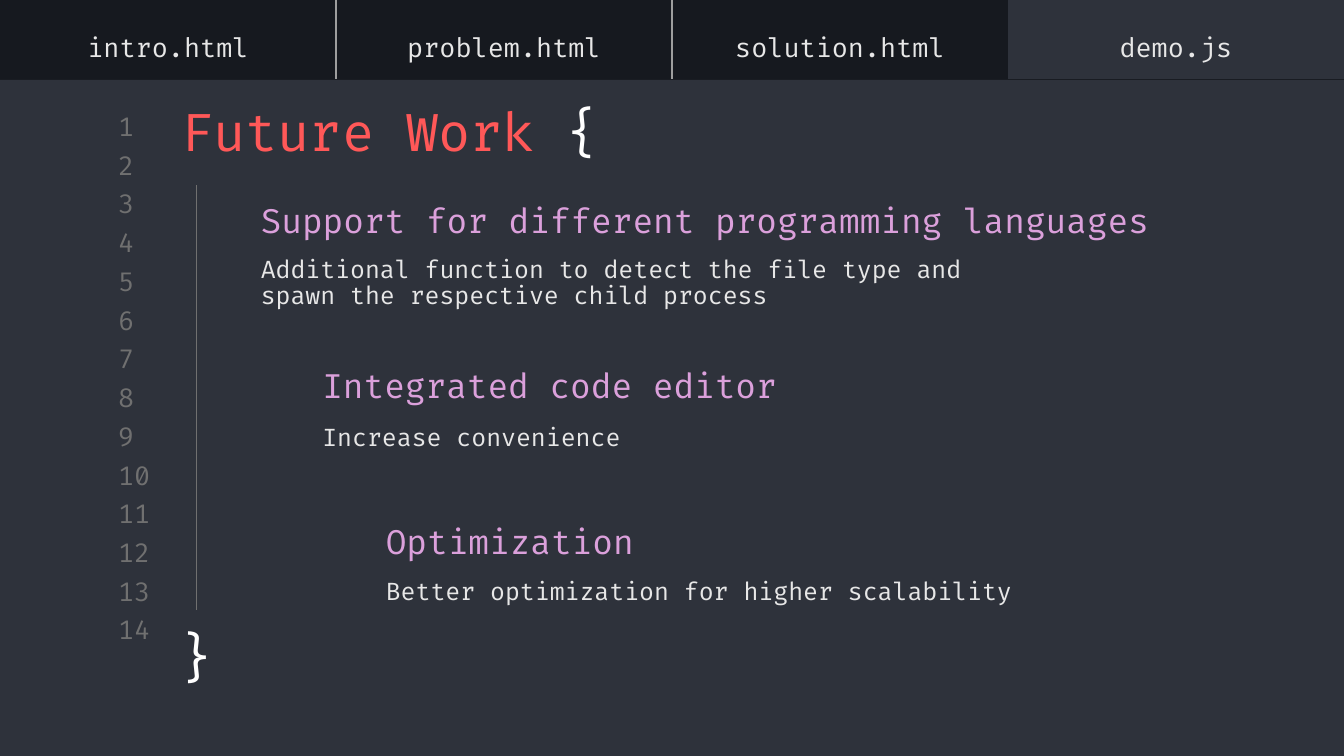
from lxml import etree
from pptx import Presentation
from pptx.dml.color import RGBColor
from pptx.enum import shapes, text
from pptx.oxml import ns
from pptx.util import Pt

DARK = RGBColor(0x16, 0x19, 0x1F)
PANEL = RGBColor(0x2E, 0x32, 0x3B)
GREY = RGBColor(0x70, 0x70, 0x70)
RULE = RGBColor(0x9E, 0x9E, 0x9E)
LIGHT = RGBColor(0xE7, 0xE7, 0xE7)
WHITE = RGBColor(0xFF, 0xFF, 0xFF)
RED = RGBColor(0xFF, 0x58, 0x58)
PINK = RGBColor(0xDB, 0xA0, 0xDB)

FONT = "Fira Code"
WIDTH, HEIGHT = 720, 405
TAB_H = 42.5
INSET = 7.2
TOP, MIDDLE = text.MSO_ANCHOR.TOP, text.MSO_ANCHOR.MIDDLE
LEFT, CENTER = text.PP_ALIGN.LEFT, text.PP_ALIGN.CENTER

TABS = ["intro.html", "problem.html", "solution.html", "demo.js"]

# Left, heading box (top, width), detail box (top, width), heading, detail lines
ITEMS = [
    (132.5, (106, 499), (131, 477),
     "Support for different programming languages",
     ["Additional function to detect the file type and",
      "spawn the respective child process"]),
    (165.5, (194.5, 331), (214, 401),
     "Integrated code editor", ["Increase convenience"]),
    (199.5, (278, 217.5), (296.5, 401),
     "Optimization", ["Better optimization for higher scalability"]),
]


def place(shape, left, top, width, height):
    shape.left, shape.top = Pt(left), Pt(top)
    shape.width, shape.height = Pt(width), Pt(height)


def add_run(para, words, size, color):
    run = para.add_run()
    run.text = words
    run.font.name = FONT
    run.font.size = Pt(size)
    run.font.color.rgb = color


def set_frame(shape, anchor, align=LEFT):
    """Set insets, wrap and anchor; return the first paragraph."""
    frame = shape.text_frame
    frame.word_wrap = True
    frame.auto_size = text.MSO_AUTO_SIZE.NONE
    frame.vertical_anchor = anchor
    frame.margin_left = frame.margin_right = Pt(INSET)
    frame.margin_top = frame.margin_bottom = Pt(INSET)
    para = frame.paragraphs[0]
    para.alignment = align
    para.space_before = Pt(0)
    return para


def add_panel(slide, top, height):
    panel = slide.shapes.add_shape(
        shapes.MSO_SHAPE.RECTANGLE, 0, Pt(top), Pt(WIDTH), Pt(height))
    panel.shadow.inherit = False
    panel.fill.solid()
    panel.fill.fore_color.rgb = PANEL
    panel.line.fill.background()


def add_label(slide, box, words, size, color, anchor, align=LEFT):
    label = slide.shapes.add_textbox(*map(Pt, box))
    add_run(set_frame(label, anchor, align), words, size, color)


def set_title(slide):
    title = slide.shapes.title
    # Lift the title above the panels
    title.element.getparent().append(title.element)
    place(title, 90, 46, 574, 42.5)
    para = set_frame(title, TOP)
    add_run(para, "Future Work ", 28, RED)
    add_run(para, "{", 28, WHITE)


def add_body(slide, box, lines, size, color):
    """Add a body placeholder without bullets."""
    slide.shapes.clone_placeholder(slide.slide_layout.placeholders[1])
    body = slide.shapes[-1]
    place(body, *box)
    para = set_frame(body, MIDDLE)
    para.line_spacing = 0.9
    props = para._p.get_or_add_pPr()
    props.set("marL", "0")
    props.set("indent", "0")
    etree.SubElement(props, ns.qn("a:buNone"))
    for i, line in enumerate(lines):
        if i:
            para.add_line_break()
        add_run(para, line, size, color)


def add_rule(slide, x, top, end):
    rule = slide.shapes.add_connector(
        shapes.MSO_CONNECTOR.STRAIGHT, Pt(x), Pt(top), Pt(x), Pt(end))
    rule.line.color.rgb = GREY
    rule.line.width = Pt(0.75)
    etree.SubElement(rule.element.spPr, ns.qn("a:effectLst"))


def set_borders(cell, shown):
    """Draw the named sides of a cell and hide the others."""
    props = cell._tc.get_or_add_tcPr()
    for i, side in enumerate(("lnL", "lnR", "lnT", "lnB")):
        line = etree.Element(ns.qn("a:" + side), w=str(Pt(0.75)))
        if side in shown:
            fill = etree.SubElement(line, ns.qn("a:solidFill"))
            etree.SubElement(fill, ns.qn("a:srgbClr"), val=str(RULE))
        else:
            etree.SubElement(line, ns.qn("a:noFill"))
        props.insert(i, line)


def add_tabs(slide):
    table = slide.shapes.add_table(
        1, len(TABS), 0, 0, Pt(WIDTH), Pt(TAB_H)).table
    table.first_row = table.horz_banding = False
    last = len(TABS) - 1
    for i, name in enumerate(TABS):
        cell = table.cell(0, i)
        cell.vertical_anchor = text.MSO_ANCHOR.BOTTOM
        cell.margin_left = cell.margin_right = Pt(INSET)
        cell.margin_top = cell.margin_bottom = Pt(INSET)
        if i == last:
            cell.fill.solid()
            cell.fill.fore_color.rgb = PANEL
        else:
            cell.fill.background()
        shown = []
        if 0 < i < last:
            shown.append("lnL")
        if i < last - 1:
            shown.append("lnR")
        set_borders(cell, shown)
        para = cell.text_frame.paragraphs[0]
        para.alignment = CENTER
        add_run(para, name, 14, LIGHT)


def main():
    deck = Presentation()
    deck.slide_width, deck.slide_height = Pt(WIDTH), Pt(HEIGHT)
    slide = deck.slides.add_slide(deck.slide_layouts[1])
    body = slide.placeholders[1].element
    body.getparent().remove(body)
    slide.background.fill.solid()
    slide.background.fill.fore_color.rgb = DARK

    add_panel(slide, 42.8, 319.5)
    for i in range(14):
        add_label(slide, (56.2, 59 + 20.75 * i, 34, 17), str(i + 1),
                  14, GREY, MIDDLE)
    add_panel(slide, 358.5, 46.5)

    set_title(slide)
    for left, head, detail, name, lines in ITEMS:
        add_body(slide, (left, detail[0], detail[1], 42), lines, 13, LIGHT)
        add_body(slide, (left, head[0], head[1], 26.5), [name], 18, PINK)

    add_label(slide, (85.5, 327, 40, 48), "}", 28, WHITE, TOP, CENTER)
    add_rule(slide, 105.2, 99.2, 327)
    add_tabs(slide)
    deck.save("out.pptx")


if __name__ == "__main__":
    main()
